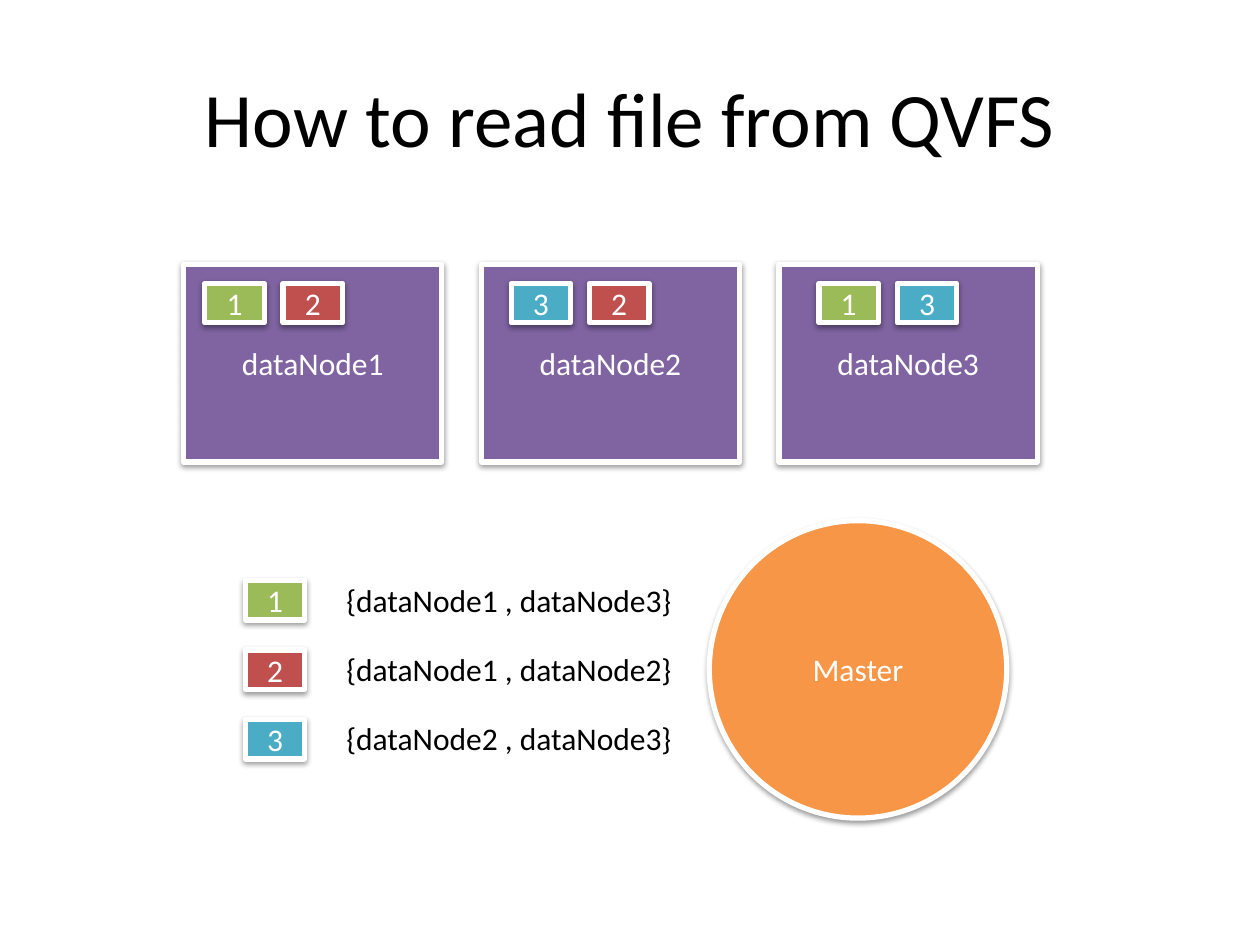
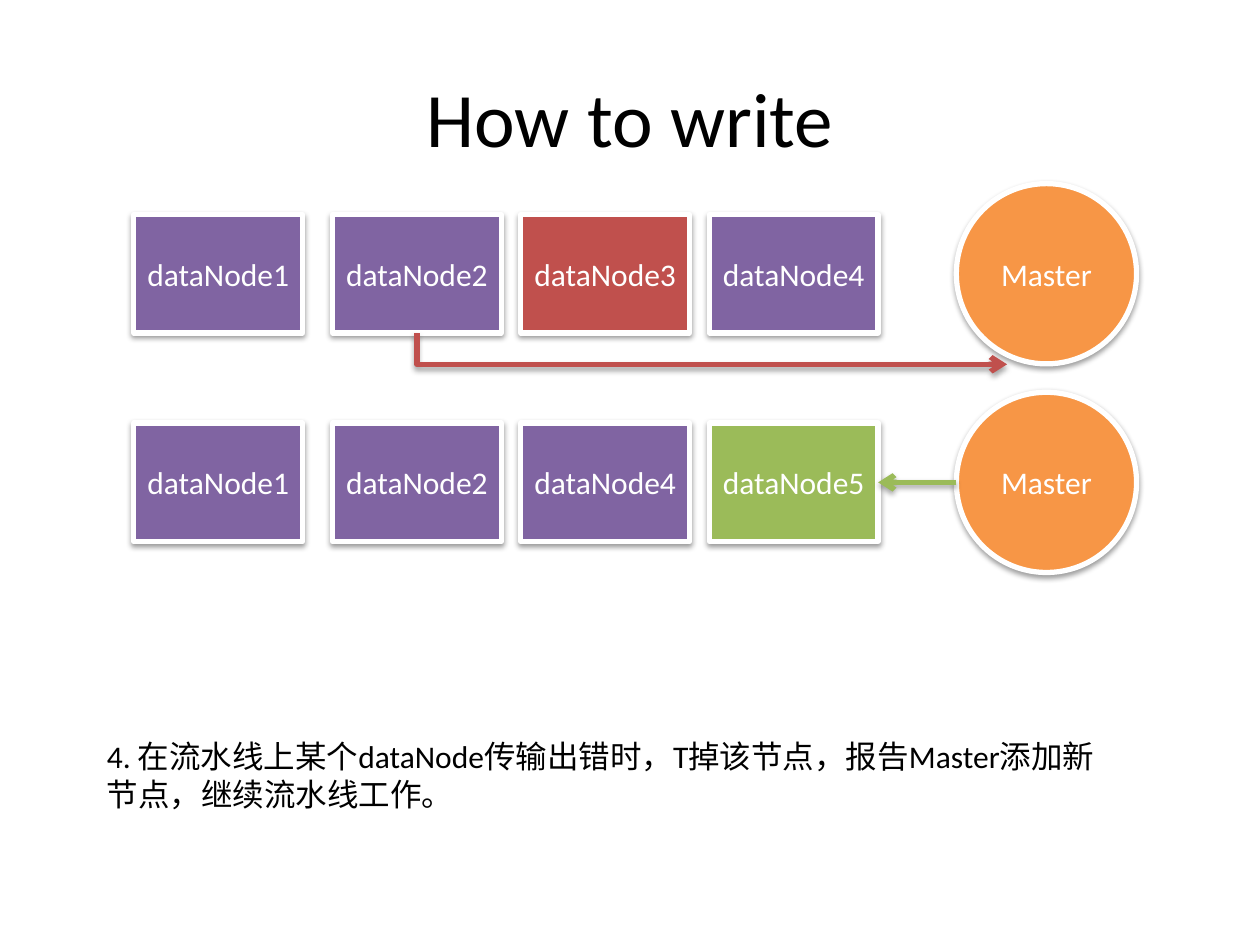
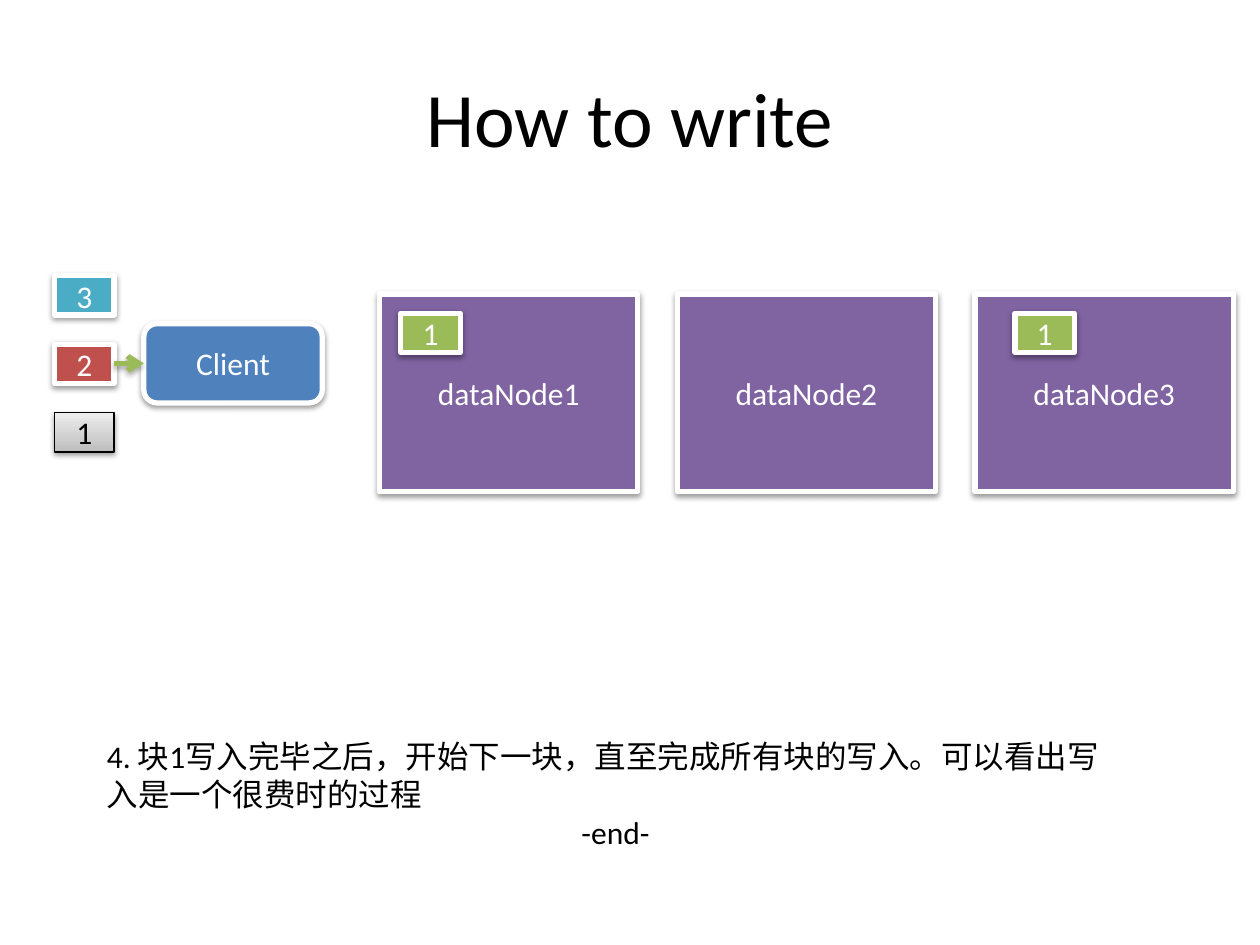
from dataclasses import dataclass

from lxml import etree
from pptx import Presentation
from pptx import util as u
from pptx.dml.color import RGBColor
from pptx.enum import shapes, text
from pptx.oxml import ns

Pt = u.Pt
RECT = shapes.MSO_SHAPE.RECTANGLE
OVAL = shapes.MSO_SHAPE.OVAL
ROUND = shapes.MSO_SHAPE.ROUNDED_RECTANGLE
CENTER = text.PP_ALIGN.CENTER
LEFT = text.PP_ALIGN.LEFT


@dataclass(frozen=True)
class Theme:
    font: str = "Calibri"
    title_size: int = 44
    body_size: int = 18
    line_width: float = 3
    thin_line: float = 0.75
    black: str = "000000"
    white: str = "FFFFFF"
    purple: str = "8064A2"
    green: str = "9BBB59"
    red: str = "C0504D"
    teal: str = "4BACC6"
    orange: str = "F79646"
    blue: str = "4F81BD"
    gray_dark: str = "BDBDBD"
    gray_light: str = "EEEEEE"


T = Theme()
BLOCK_COLORS = {"1": T.green, "2": T.red, "3": T.teal}
BLOCK_W, BLOCK_H, BLOCK_STEP = 34, 22.5, 44.75

# Large data nodes, and where the first block sits in each of them
NODE_W, NODE_H, NODE_STEP = 147.5, 113, 170.1
NODE_NAMES = ["dataNode1", "dataNode2", "dataNode3"]
BLOCK_INSETS = [12, 17, 22.75]
BLOCK_DROP = 11


def rgb(color):
    return RGBColor.from_string(color)


def format_text(tf, size, color, align):
    for p in tf.paragraphs:
        p.alignment = align
        for r in p.runs:
            r.font.name = T.font
            r.font.size = Pt(size)
            r.font.color.rgb = rgb(color)


def add_shadow(sp, alpha, distance):
    """Soft shadow straight below; alpha in percent, distance in points."""
    spPr = sp._element.spPr
    effects = etree.SubElement(spPr, ns.qn("a:effectLst"))
    shadow = etree.SubElement(
        effects, ns.qn("a:outerShdw"), blurRad=str(Pt(3.15)),
        dist=str(Pt(distance)), dir="5400000", rotWithShape="0")
    color = etree.SubElement(shadow, ns.qn("a:srgbClr"), val=T.black)
    etree.SubElement(color, ns.qn("a:alpha"), val=str(alpha * 1000))


def add_slide(prs, title):
    s = prs.slides.add_slide(prs.slide_layouts[5])
    sp = s.shapes.title
    sp.left, sp.top, sp.width, sp.height = Pt(36), Pt(21.6), Pt(648), Pt(90)
    sp.text_frame.text = title
    sp.text_frame.vertical_anchor = text.MSO_ANCHOR.MIDDLE
    format_text(sp.text_frame, T.title_size, T.black, CENTER)
    return s


def add_figure(s, kind, label, x, y, w, h, color):
    sp = s.shapes.add_shape(kind, Pt(x), Pt(y), Pt(w), Pt(h))
    sp.fill.solid()
    sp.fill.fore_color.rgb = rgb(color)
    sp.line.color.rgb = rgb(T.white)
    sp.line.width = Pt(T.line_width)
    add_shadow(sp, 38, 1.57)
    sp.text_frame.text = label
    sp.text_frame.vertical_anchor = text.MSO_ANCHOR.MIDDLE
    format_text(sp.text_frame, T.body_size, T.white, CENTER)
    return sp


def add_block(s, number, x, y):
    return add_figure(s, RECT, number, x, y, BLOCK_W, BLOCK_H,
                      BLOCK_COLORS[number])


def fade_block(sp):
    """Turn a block gray, as one that has already been written."""
    sp.fill.gradient()
    sp.fill.gradient_angle = 90
    for stop, color in zip(sp.fill.gradient_stops, (T.gray_dark, T.gray_light)):
        stop.color.rgb = rgb(color)
    sp.line.color.rgb = rgb(T.black)
    sp.line.width = Pt(T.thin_line)
    format_text(sp.text_frame, T.body_size, T.black, CENTER)


def add_data_nodes(s, left, top, contents):
    """Row of large nodes; contents gives the block numbers in each."""
    for i, (name, inset, numbers) in enumerate(
            zip(NODE_NAMES, BLOCK_INSETS, contents)):
        x = left + i * NODE_STEP
        add_figure(s, RECT, name, x, top, NODE_W, NODE_H, T.purple)
        for j, number in enumerate(numbers):
            add_block(s, number, x + inset + j * BLOCK_STEP, top + BLOCK_DROP)


def add_text(s, lines, x, y, w, h, wrap=True):
    tf = s.shapes.add_textbox(Pt(x), Pt(y), Pt(w), Pt(h)).text_frame
    tf.word_wrap = wrap
    tf.auto_size = text.MSO_AUTO_SIZE.SHAPE_TO_FIT_TEXT
    tf.text = lines
    format_text(tf, T.body_size, T.black, LEFT)
    return tf


def add_note(s, lines, h):
    return add_text(s, lines, 54, 417.6, 595.5, h)


def style_arrow(cn, color):
    cn.line.color.rgb = rgb(color)
    cn.line.width = Pt(T.line_width)
    ln = cn._element.spPr.find(ns.qn("a:ln"))
    etree.SubElement(ln, ns.qn("a:tailEnd"), type="arrow")
    add_shadow(cn, 35, 1.8)


def add_level_arrow(s, x1, x2, y, color):
    cn = s.shapes.add_connector(shapes.MSO_CONNECTOR.STRAIGHT,
                                Pt(x1), Pt(y), Pt(x2), Pt(y))
    style_arrow(cn, color)


def add_down_right_arrow(s, x1, y1, x2, y2, color):
    """One-bend arrow: the frame lies on its side and is turned by 270 degrees."""
    w, h = y2 - y1, x2 - x1
    left, top = (x1 + x2 - w) / 2, (y1 + y2 - h) / 2
    cn = s.shapes.add_connector(shapes.MSO_CONNECTOR.ELBOW, Pt(left), Pt(top),
                                Pt(left + w), Pt(top + h))
    spPr = cn._element.spPr
    spPr.find(ns.qn("a:prstGeom")).set("prst", "bentConnector2")
    xfrm = spPr.find(ns.qn("a:xfrm"))
    xfrm.set("rot", "16200000")
    xfrm.set("flipH", "1")
    style_arrow(cn, color)


def build_read_slide(prs):
    s = add_slide(prs, "How to read file from QVFS")
    add_data_nodes(s, 105, 151, ["12", "32", "13"])

    # Block locations known to the master
    locations = ["{dataNode1 , dataNode3}", "{dataNode1 , dataNode2}",
                 "{dataNode2 , dataNode3}"]
    for i, (number, nodes) in enumerate(zip("123", locations)):
        y = 331.8 + i * 39.7
        add_block(s, number, 140.2, y)
        add_text(s, nodes, 190.8, y - 3.6, 202.3, 29, wrap=False)
    add_figure(s, OVAL, "Master", 405.3, 297.5, 170, 170, T.orange)


def build_failure_slide(prs):
    s = add_slide(prs, "How to write")
    add_note(s, "4. 在流水线上某个dataNode传输出错时，T掉该节点，"
                "报告Master添加新节点，继续流水线工作。", 51)

    # Pipeline before and after the failed node is replaced
    columns = [76.5, 190, 297.6, 405.3]
    node_w, node_h = 96.5, 67.7
    master_left, master_size = 546.5, 103
    before, after = 122.6, 241.8
    special = {"dataNode3": T.red, "dataNode5": T.green}
    for y, numbers in ((before, "1234"), (after, "1245")):
        for x, number in zip(columns, numbers):
            name = "dataNode" + number
            add_figure(s, RECT, name, x, y, node_w, node_h,
                       special.get(name, T.purple))
        add_figure(s, OVAL, "Master", master_left,
                   y + (node_h - master_size) / 2, master_size, master_size,
                   T.orange)
    add_down_right_arrow(s, 238.3, before + node_h, 575.5, 208.2, T.red)
    add_level_arrow(s, master_left, columns[-1] + node_w, after + node_h / 2,
                    T.green)


def build_finish_slide(prs):
    s = add_slide(prs, "How to write")
    tf = add_note(s, "4. 块1写入完毕之后，开始下一块，直至完成所有块的写入。"
                     "可以看出写入是一个很费时的过程\n-end-", 72.7)
    tf.paragraphs[1].alignment = CENTER
    add_data_nodes(s, 217, 168, ["1", "", "1"])

    # Client and its queue of blocks
    queue_left, client_left, client_top, client_h = 31.2, 82.2, 185, 45.3
    blocks = {number: add_block(s, number, queue_left, 157.6 + i * 39.1)
              for i, number in enumerate("321")}
    fade_block(blocks["1"])
    add_figure(s, ROUND, "Client", client_left, client_top, 102, client_h,
               T.blue)
    add_level_arrow(s, queue_left + BLOCK_W, client_left,
                    client_top + client_h / 2, T.green)


def main():
    prs = Presentation()
    prs.slide_width, prs.slide_height = Pt(720), Pt(540)
    build_read_slide(prs)
    build_failure_slide(prs)
    build_finish_slide(prs)
    prs.save("out.pptx")


if __name__ == "__main__":
    main()
